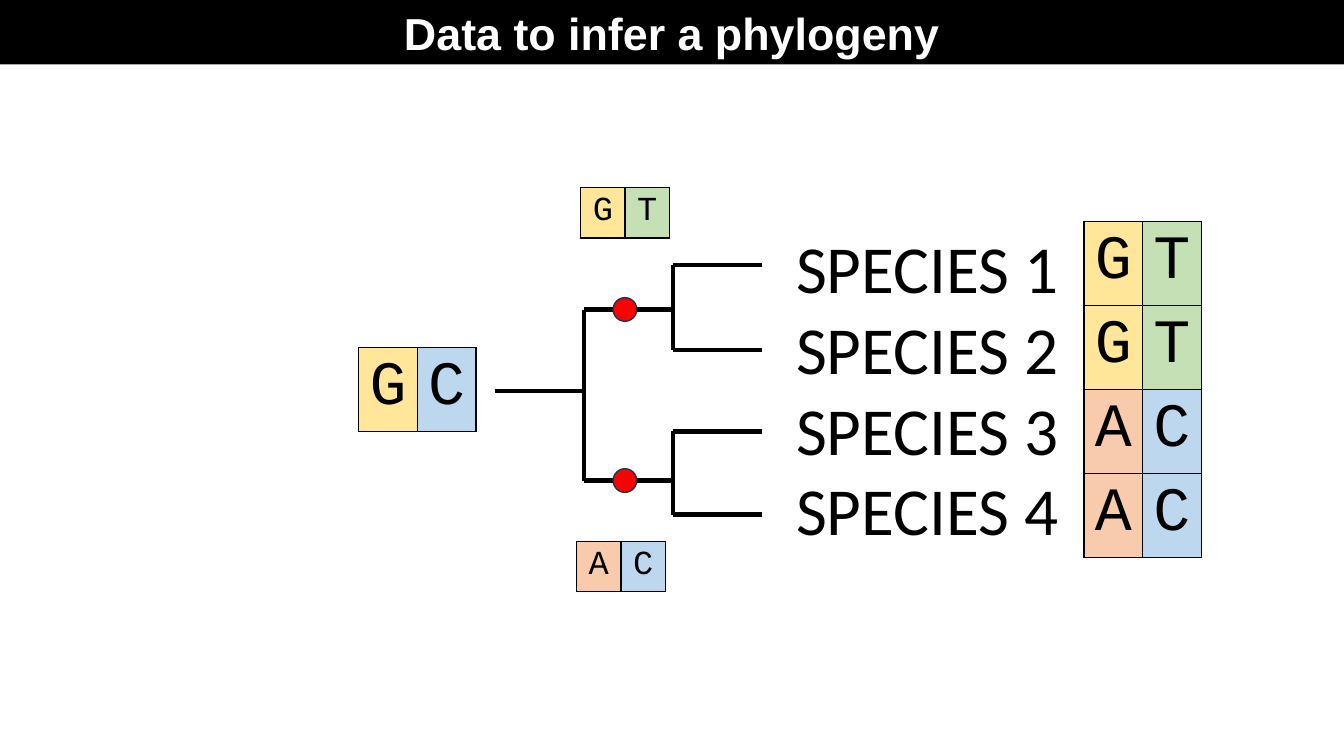
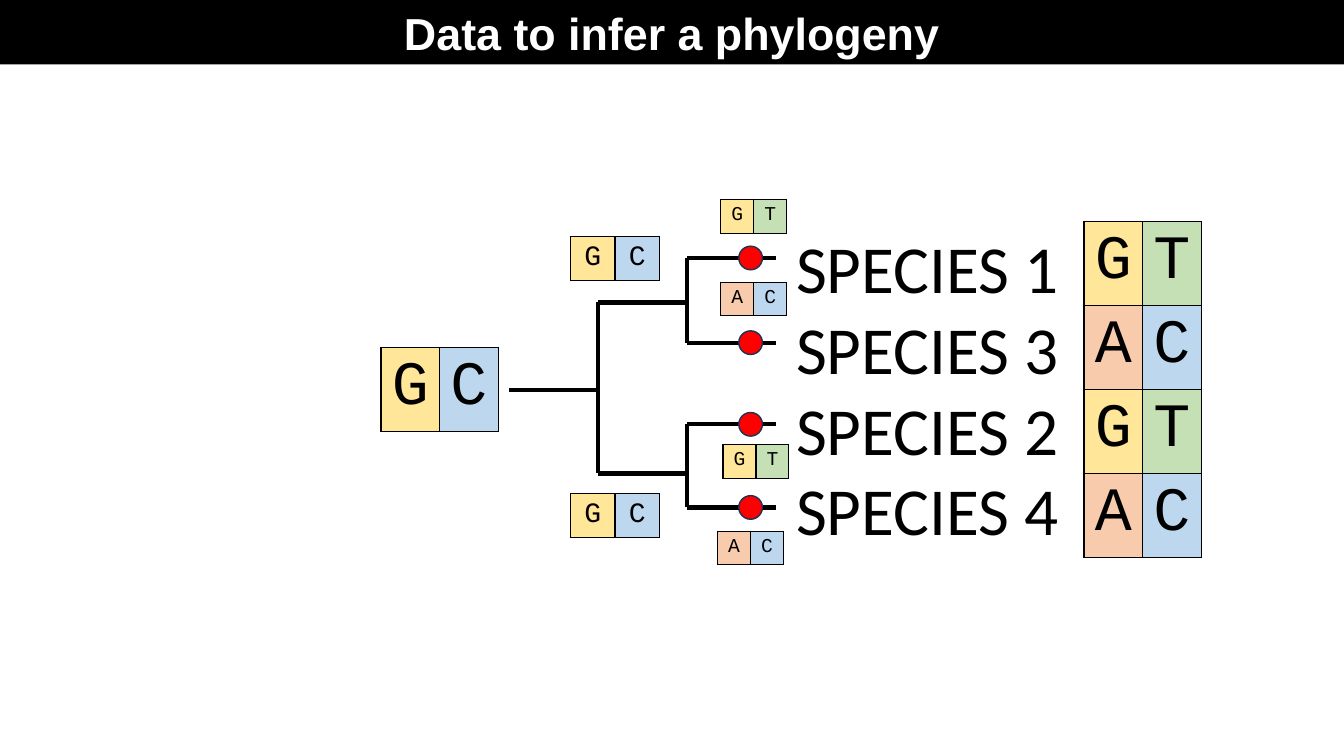
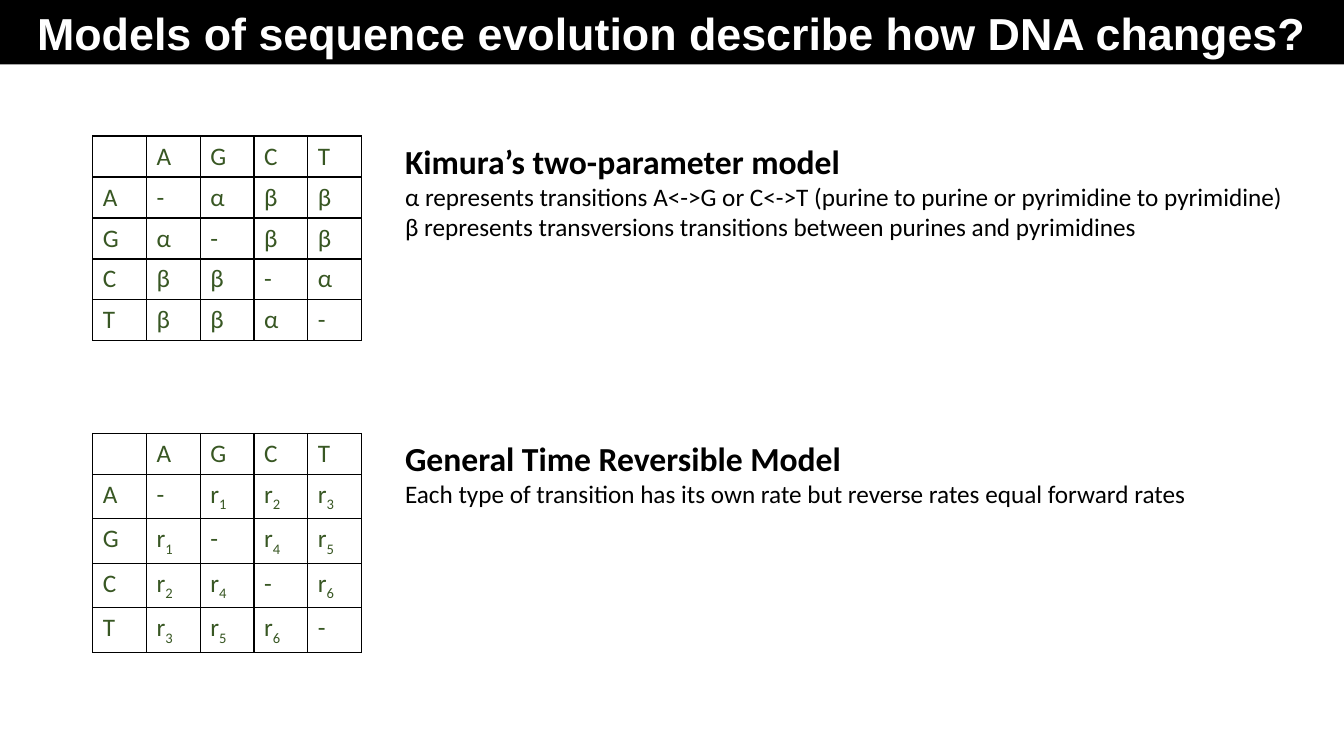
from lxml import etree
from pptx import Presentation
from pptx.dml.color import RGBColor
from pptx.enum.shapes import MSO_CONNECTOR, MSO_SHAPE
from pptx.enum.text import MSO_ANCHOR, PP_ALIGN
from pptx.oxml.ns import qn
from pptx.util import Inches, Pt

RECT, OVAL = MSO_SHAPE.RECTANGLE, MSO_SHAPE.OVAL
STRAIGHT = MSO_CONNECTOR.STRAIGHT
LEFT, CENTER = PP_ALIGN.LEFT, PP_ALIGN.CENTER
MIDDLE = MSO_ANCHOR.MIDDLE

BLACK, WHITE, RED, NAVY, GREEN = "000000", "FFFFFF", "FF0000", "1E3256", "385723"
BASE_FILLS = {"G": "FFE699", "T": "C5E0B4", "A": "F8CBAD", "C": "BDD7EE"}
BASE_CELLS = {44: (4.36, 11.11), 24: (3.31, 6.67), 20: (3.31, 5.8), 14: (2.45, 4.44)}
BRANCH = 6.63
TIPS = [0, 11.2, 22, 33]
NODES = [5.87, 28.5]
DOT = 1.76

prs = Presentation()
prs.slide_width, prs.slide_height = Inches(13.33), Inches(7.5)
X, Y = prs.slide_width / 100, prs.slide_height / 100


def rgb(value):
    return RGBColor.from_string(value)


def add_grid(s, rows, left, top, cell, size, font, color, align, fills):
    width, height = cell
    n_rows, n_cols = len(rows), len(rows[0])
    table = s.shapes.add_table(n_rows, n_cols, int(left * X), int(top * Y),
                               int(width * n_cols * X), int(height * n_rows * Y)).table
    table.first_row = table.horz_banding = False
    for row, texts in zip(table.rows, rows):
        for c, text in zip(row.cells, texts):
            tc_pr = c._tc.get_or_add_tcPr()
            for side in ("a:lnL", "a:lnR", "a:lnT", "a:lnB"):
                ln = etree.SubElement(tc_pr, qn(side), w=str(Pt(1)))
                solid = etree.SubElement(ln, qn("a:solidFill"))
                etree.SubElement(solid, qn("a:srgbClr"), val=BLACK)
            if text in fills:
                c.fill.solid()
                c.fill.fore_color.rgb = rgb(fills[text])
            else:
                c.fill.background()
            p = c.text_frame.paragraphs[0]
            p.alignment = align
            p.font.size, p.font.name = Pt(size), font
            p.font.color.rgb = rgb(color)
            for char in text:
                r = p.add_run()
                r.text = char
                if char.isdigit():
                    r._r.get_or_add_rPr().set("baseline", "-25000")


slides = []
for title in ("Data to infer a phylogeny", "Data to infer a phylogeny",
              "Models of sequence evolution describe how DNA changes?"):
    s = prs.slides.add_slide(prs.slide_layouts[6])
    sp = s.shapes.add_shape(RECT, 0, 0, prs.slide_width, int(8.53 * Y))
    sp.shadow.inherit = False
    sp.fill.solid()
    sp.fill.fore_color.rgb = rgb(BLACK)
    sp.line.fill.background()
    tf = sp.text_frame
    tf.vertical_anchor = MIDDLE
    p = tf.paragraphs[0]
    p.text, p.alignment = title, CENTER
    p.font.size, p.font.name, p.font.bold = Pt(32), "Arial", True
    p.font.color.rgb = rgb(WHITE)
    slides.append(s)

trees = [
    {"species": "1234", "bases": ["GT", "GT", "AC", "AC"],
     "x": 36.8, "y": 35.07, "root": 51.75, "dot_x": 46.5, "dots": NODES,
     "states": [("GC", 26.7, 46, 44), ("GT", 43.2, 24.8, 24), ("AC", 42.9, 71.6, 24)]},
    {"species": "1324", "bases": ["GT", "AC", "GT", "AC"],
     "x": 37.88, "y": 34.13, "root": 51.6, "dot_x": 55.85, "dots": TIPS,
     "states": [("GC", 28.35, 46, 44), ("GC", 42.45, 31.33, 20), ("GC", 42.45, 65.33, 20),
                ("GT", 53.63, 26.4, 14), ("AC", 53.63, 37.33, 14),
                ("GT", 53.8, 58.8, 14), ("AC", 53.4, 70.27, 14)]},
]

for s, tree in zip(slides, trees):
    tf = s.shapes.add_textbox(int(58.5 * X), int(29.33 * Y),
                              int(21.23 * X), int(44.4 * Y)).text_frame
    tf.word_wrap = False
    for i, number in enumerate(tree["species"]):
        p = tf.add_paragraph() if i else tf.paragraphs[0]
        p.text = f"SPECIES {number}"
        p.font.size, p.font.name = Pt(48), "Calibri"
        p.font.color.rgb = rgb(BLACK)

    x0, x1, x2, x3 = [tree["x"] + BRANCH * i for i in range(4)]
    tips = [tree["y"] + dy for dy in TIPS]
    nodes = [tree["y"] + dy for dy in NODES]
    lines = [(x0, tree["root"], x1, tree["root"]), (x1, nodes[0], x1, nodes[1])]
    lines += [(x1, y, x2, y) for y in nodes]
    lines += [(x2, tips[i], x2, tips[i + 1]) for i in (0, 2)]
    lines += [(x2, y, x3, y) for y in tips]
    for xa, ya, xb, yb in lines:
        line = s.shapes.add_connector(STRAIGHT, int(xa * X), int(ya * Y),
                                      int(xb * X), int(yb * Y))
        line.line.width = Pt(3)
        line.line.color.rgb = rgb(BLACK)
        etree.SubElement(line._element.spPr, qn("a:effectLst"))

    size = int(DOT * X)
    for dy in tree["dots"]:
        sp = s.shapes.add_shape(OVAL, int(tree["dot_x"] * X - size / 2),
                                int((tree["y"] + dy) * Y - size / 2), size, size)
        sp.shadow.inherit = False
        sp.fill.solid()
        sp.fill.fore_color.rgb = rgb(RED)
        sp.line.width = Pt(1)
        sp.line.color.rgb = rgb(NAVY)

    grids = [(tree["bases"], 80.65, 29.33, 44)]
    grids += [([bases], left, top, size) for bases, left, top, size in tree["states"]]
    for rows, left, top, size in grids:
        add_grid(s, rows, left, top, BASE_CELLS[size], size, "Courier New", BLACK,
                 CENTER, BASE_FILLS)

models = [
    (18, 22.93, ["-αββ", "α-ββ", "ββ-α", "ββα-"],
     ["Kimura’s two-parameter model",
      "α represents transitions A<->G or C<->T (purine to purine or pyrimidine to pyrimidine)",
      "β represents transversions transitions between purines and pyrimidines"]),
    (57.33, 18.8, [["-", "r1", "r2", "r3"], ["r1", "-", "r4", "r5"],
                   ["r2", "r4", "-", "r6"], ["r3", "r5", "r6", "-"]],
     ["General Time Reversible Model",
      "Each type of transition has its own rate but reverse rates equal forward rates"]),
]

s = slides[2]
for top, height, rates, texts in models:
    rows = [["", *"AGCT"]] + [[base, *row] for base, row in zip("AGCT", rates)]
    add_grid(s, rows, 6.9, top, (4, 5.42), 18, "Calibri", GREEN, LEFT, {})
    tf = s.shapes.add_textbox(int(29.4 * X), int(top * Y),
                              int(68.57 * X), int(height * Y)).text_frame
    tf.word_wrap = True
    for i, text in enumerate(texts):
        p = tf.add_paragraph() if i else tf.paragraphs[0]
        p.text = text
        p.font.size, p.font.name, p.font.bold = Pt(18 if i else 24), "Calibri", i == 0
        p.font.color.rgb = rgb(BLACK)

prs.save("out.pptx")
